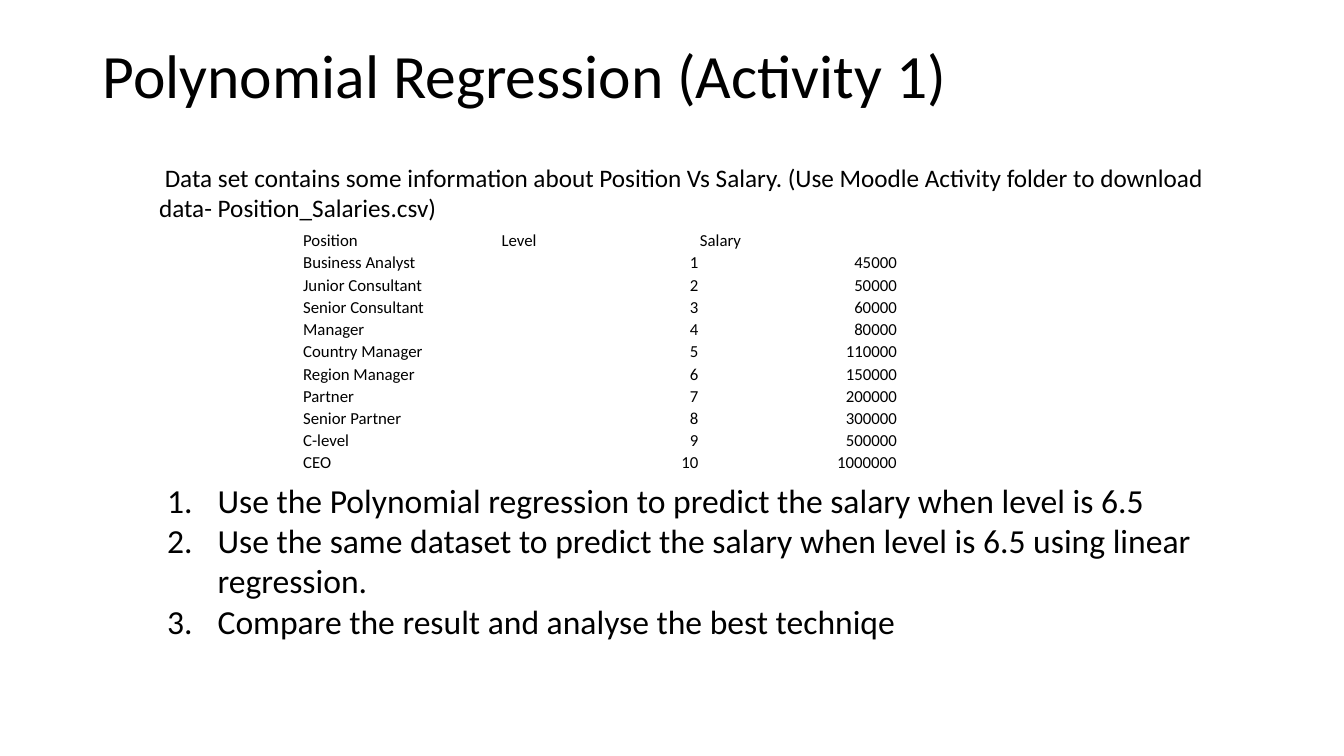
from pptx import Presentation
from pptx import util as u
from pptx.dml.color import RGBColor
from pptx.enum import text as t
from pptx.oxml.ns import qn
from lxml import etree

BLACK = RGBColor(0, 0, 0)
FONT = "Calibri"
TITLE = "Polynomial Regression (Activity 1)"
INTRO = (" Data set contains some information about Position Vs Salary. "
         "(Use Moodle Activity folder to download data- Position_Salaries.csv)")
TASKS = [
    "Use the Polynomial regression to predict the salary when level is 6.5",
    "Use the same dataset to predict the salary when level is 6.5 "
    "using linear regression.",
    "Compare the result and analyse the best techniqe",
]
STAFF = [
    ("Business Analyst", 45000), ("Junior Consultant", 50000),
    ("Senior Consultant", 60000), ("Manager", 80000),
    ("Country Manager", 110000), ("Region Manager", 150000),
    ("Partner", 200000), ("Senior Partner", 300000),
    ("C-level", 500000), ("CEO", 1000000),
]


def place(shape, left, top, width, height):
    """Set the place of a shape in centimetres."""
    shape.left, shape.top = u.Cm(left), u.Cm(top)
    shape.width, shape.height = u.Cm(width), u.Cm(height)


def number(para):
    """Give a paragraph an automatic number and a hanging indent."""
    props = para._p.get_or_add_pPr()
    props.set("marL", str(u.Cm(1.27)))
    props.set("indent", str(-u.Cm(1.27)))
    font = etree.SubElement(props, qn("a:buFont"))
    font.set("typeface", "+mj-lt")
    mark = etree.SubElement(props, qn("a:buAutoNum"))
    mark.set("type", "arabicPeriod")


def write(frame, *lines, size=18, align=t.PP_ALIGN.LEFT, space=1.0,
          listed=False):
    """Fill a text frame with one formatted paragraph for each line."""
    for i, line in enumerate(lines):
        para = frame.add_paragraph() if i else frame.paragraphs[0]
        if listed:
            number(para)
        para.alignment = align
        para.line_spacing = space
        para.space_before = u.Pt(0)
        run = para.add_run()
        run.text = line
        run.font.name = FONT
        run.font.size = u.Pt(size)
        run.font.color.rgb = BLACK


def add_title(slide):
    """Format the title placeholder."""
    title = slide.shapes.title
    place(title, 2.33, 1.02, 29.21, 3.68)
    title.text_frame.vertical_anchor = t.MSO_ANCHOR.TOP
    write(title.text_frame, TITLE, size=44, space=0.9)


def add_intro(slide):
    """Add the introduction and return its box."""
    box = slide.shapes.add_textbox(0, 0, 0, 0)
    place(box, 3.76, 3.96, 27.36, 1.8)
    box.text_frame.word_wrap = True
    write(box.text_frame, INTRO)
    return box


def add_tasks(slide):
    """Format the body placeholder as a numbered list and return it."""
    body = slide.placeholders[1]
    place(body, 3.96, 11.96, 27.13, 4.37)
    body.text_frame.auto_size = t.MSO_AUTO_SIZE.SHAPE_TO_FIT_TEXT
    write(body.text_frame, *TASKS, size=24, listed=True)
    return body


def add_data(slide):
    """Add the table of positions, levels and salaries."""
    rows = [("Position", "Level", "Salary")]
    rows += [(name, i, pay) for i, (name, pay) in enumerate(STAFF, 1)]
    high = u.Cm(0.56)
    grid = slide.shapes.add_table(len(rows), 3, u.Cm(7.62), u.Cm(5.77),
                                  u.Cm(15), high * len(rows)).table
    grid.horz_banding = grid.first_row = False
    for r, row in enumerate(rows):
        grid.rows[r].height = high
        for c, item in enumerate(row):
            cell = grid.cell(r, c)
            cell.fill.background()
            cell.vertical_anchor = t.MSO_ANCHOR.BOTTOM
            cell.margin_left = cell.margin_right = u.Cm(0.02)
            cell.margin_top, cell.margin_bottom = u.Cm(0.02), 0
            side = t.PP_ALIGN.RIGHT if r and c else t.PP_ALIGN.LEFT
            write(cell.text_frame, str(item), size=12, align=side)


def main():
    """Build and save the slide."""
    deck = Presentation()
    deck.slide_width, deck.slide_height = u.Cm(33.87), u.Cm(19.05)
    slide = deck.slides.add_slide(deck.slide_layouts[1])
    add_title(slide)
    tasks = add_tasks(slide)
    intro = add_intro(slide)
    tasks.element.addprevious(intro.element)
    add_data(slide)
    deck.save("out.pptx")


if __name__ == "__main__":
    main()
